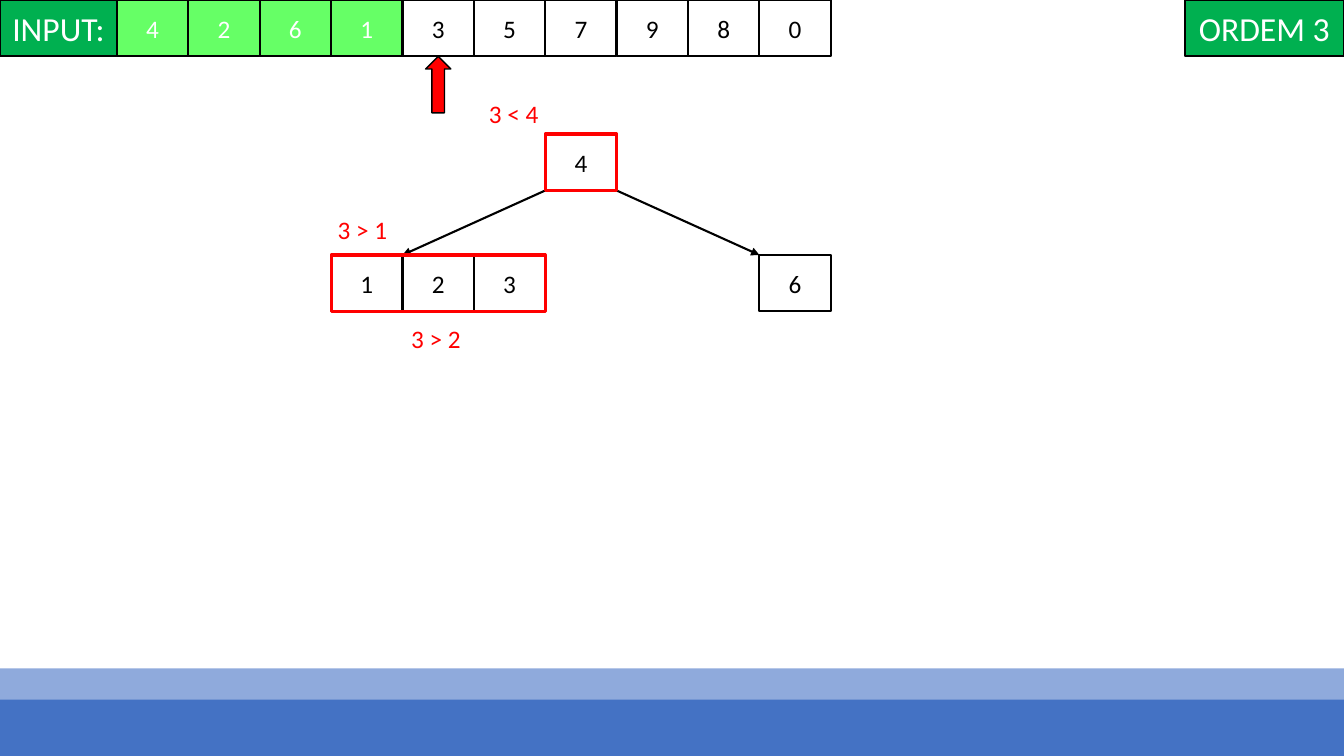
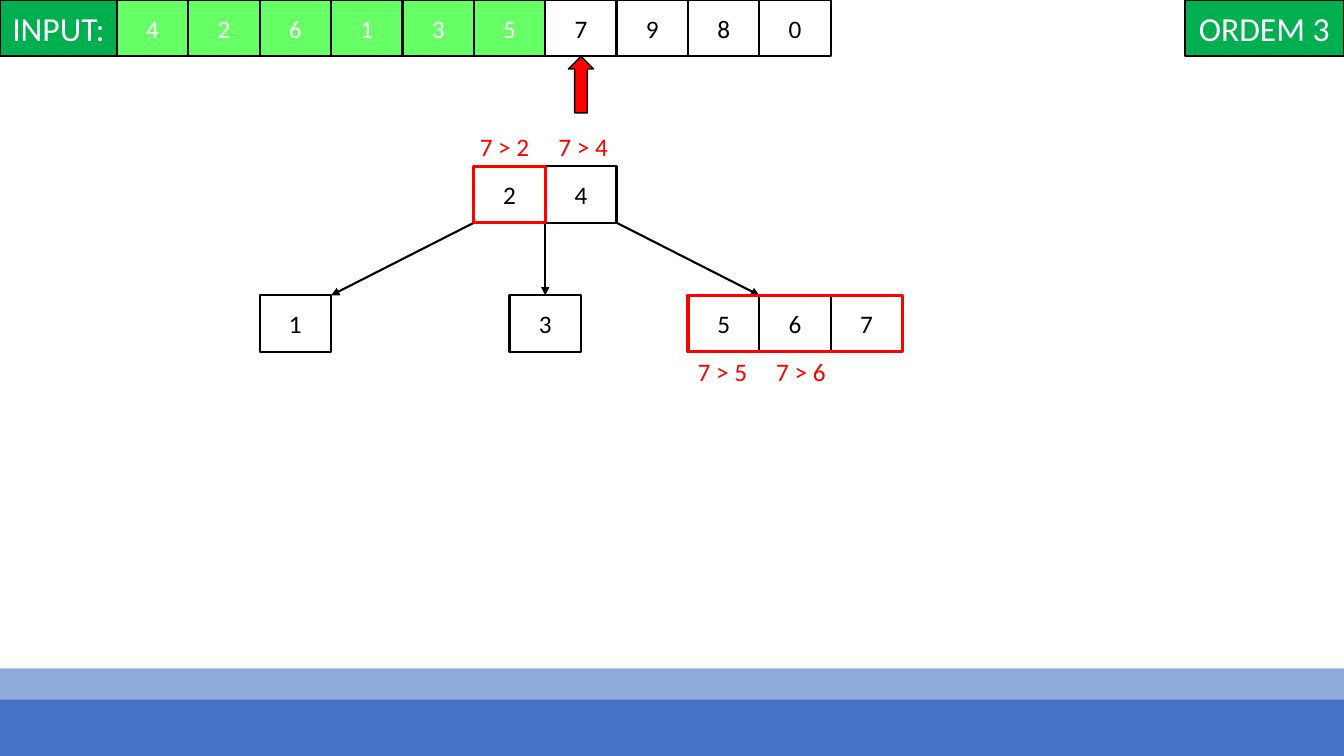
from lxml import etree
from pptx import Presentation
from pptx.dml.color import RGBColor
from pptx.enum import shapes as shp, text as txt
from pptx.oxml.ns import qn
from pptx.util import Inches, Pt

WIDE, HIGH = 13.33, 7.5
LEFT, RIGHT = 1.16, 8.24  # edges of the input cells
INPUT = "4261357980"
CELL, ROW = (RIGHT - LEFT) / len(INPUT), 0.56
FONT = "Calibri"
BLACK, WHITE, RED = "000000", "FFFFFF", "FF0000"
GREEN, LIME = "00B050", "66FF66"
BANDS = ((6.63, "8FAADC"), (6.94, "4472C4"))
RECT, ARROW = shp.MSO_SHAPE.RECTANGLE, shp.MSO_SHAPE.UP_ARROW

# Nodes: column, level, keys. Edges: from column, to column, child to join.
# Frames: column, level, cells. Notes: left, top, text.
STEPS = (
    {
        "done": 4,
        "tops": (1.33, 2.53),
        "nodes": ((6, 0, "4"), (3, 1, "123"), (9, 1, "6")),
        "edges": ((6, 4, None), (7, 9, None)),
        "frames": ((3, 1, 3), (6, 0, 1)),
        "notes": ((4.75, 0.93, "3 < 4"), (3.25, 2.08, "3 > 1"),
                  (3.98, 3.16, "3 > 2")),
    },
    {
        "done": 6,
        "tops": (1.65, 2.93),
        "nodes": ((5, 0, "24"), (2, 1, "1"), (5.5, 1, "3"), (8, 1, "567")),
        "edges": ((5, 3, None), (6, 6, 2), (7, 9, None)),
        "frames": ((8, 1, 3), (5, 0, 1)),
        "notes": ((4.66, 1.25, "7 > 2"), (5.44, 1.25, "7 > 4"),
                  (6.82, 3.49, "7 > 5"), (7.6, 3.49, "7 > 6")),
    },
)


def tint(code):
    return RGBColor.from_string(code)


def col(num):
    """Left edge of a grid column, in inches."""
    return LEFT + num * CELL


def write(frame, words, color, size=18):
    run = frame.paragraphs[0].add_run()
    run.text = words
    run.font.name, run.font.size = FONT, Pt(size)
    run.font.color.rgb = tint(color)


def block(slide, box, fill=None, line=None, weight=1.5, kind=RECT):
    shape = slide.shapes.add_shape(kind, *map(Inches, box))
    shape.shadow.inherit = False
    if fill:
        shape.fill.solid()
        shape.fill.fore_color.rgb = tint(fill)
    else:
        shape.fill.background()
    if line:
        shape.line.color.rgb = tint(line)
        shape.line.width = Pt(weight)
    else:
        shape.line.fill.background()
    return shape


def cell(slide, box, words, fill=WHITE, color=BLACK, size=18):
    shape = block(slide, box, fill, BLACK)
    frame = shape.text_frame
    frame.vertical_anchor = txt.MSO_ANCHOR.MIDDLE
    frame.paragraphs[0].alignment = txt.PP_ALIGN.CENTER
    write(frame, words, color, size)
    return shape


def keys(slide, left, top, row, done=0):
    """Row of key cells, the first ones marked as done."""
    return [
        cell(slide, (left + i * CELL, top, CELL, ROW), key,
             *((LIME, WHITE) if i < done else (WHITE, BLACK)))
        for i, key in enumerate(row)
    ]


def edge(slide, start, end, child=None):
    line = slide.shapes.add_connector(
        shp.MSO_CONNECTOR.STRAIGHT, *map(Inches, start + end))
    line.line.color.rgb = tint(BLACK)
    line.line.width = Pt(1.5)
    etree.SubElement(line.line._get_or_add_ln(), qn("a:tailEnd"),
                     type="triangle")
    etree.SubElement(line._element.spPr, qn("a:effectLst"))
    if child is not None:
        line.end_connect(child, 0)


def note(slide, left, top, words):
    area = slide.shapes.add_textbox(*map(Inches, (left, top, 0.78, 0.4)))
    area.text_frame.word_wrap = True
    area.text_frame.auto_size = txt.MSO_AUTO_SIZE.SHAPE_TO_FIT_TEXT
    write(area.text_frame, words, RED)


def base(slide):
    for top, color in BANDS:
        block(slide, (0, top, WIDE, ROW), color)


def header(slide, done):
    cell(slide, (0, 0, LEFT, ROW), "INPUT:", GREEN, WHITE, 24)
    keys(slide, LEFT, 0, INPUT, done)
    cell(slide, (WIDE - 1.58, 0, 1.58, ROW), "ORDEM 3", GREEN, WHITE, 24)
    wide = 0.25
    block(slide, (col(done + 0.5) - wide / 2, ROW, wide, ROW),
          RED, BLACK, 1, ARROW)


def tree(slide, tops, nodes, edges, frames):
    rows = [keys(slide, col(num), tops[level], row)
            for num, level, row in nodes]
    for start, end, child in edges:
        edge(slide, (col(start), tops[0] + ROW), (col(end), tops[1]),
             None if child is None else rows[child][0])
    for num, level, count in frames:
        block(slide, (col(num), tops[level], count * CELL, ROW),
              line=RED, weight=2.25)


def main():
    deck = Presentation()
    deck.slide_width, deck.slide_height = Inches(WIDE), Inches(HIGH)
    for step in STEPS:
        slide = deck.slides.add_slide(deck.slide_layouts[6])
        base(slide)
        header(slide, step["done"])
        tree(slide, step["tops"], step["nodes"], step["edges"],
             step["frames"])
        for item in step["notes"]:
            note(slide, *item)
    deck.save("out.pptx")


if __name__ == "__main__":
    main()
